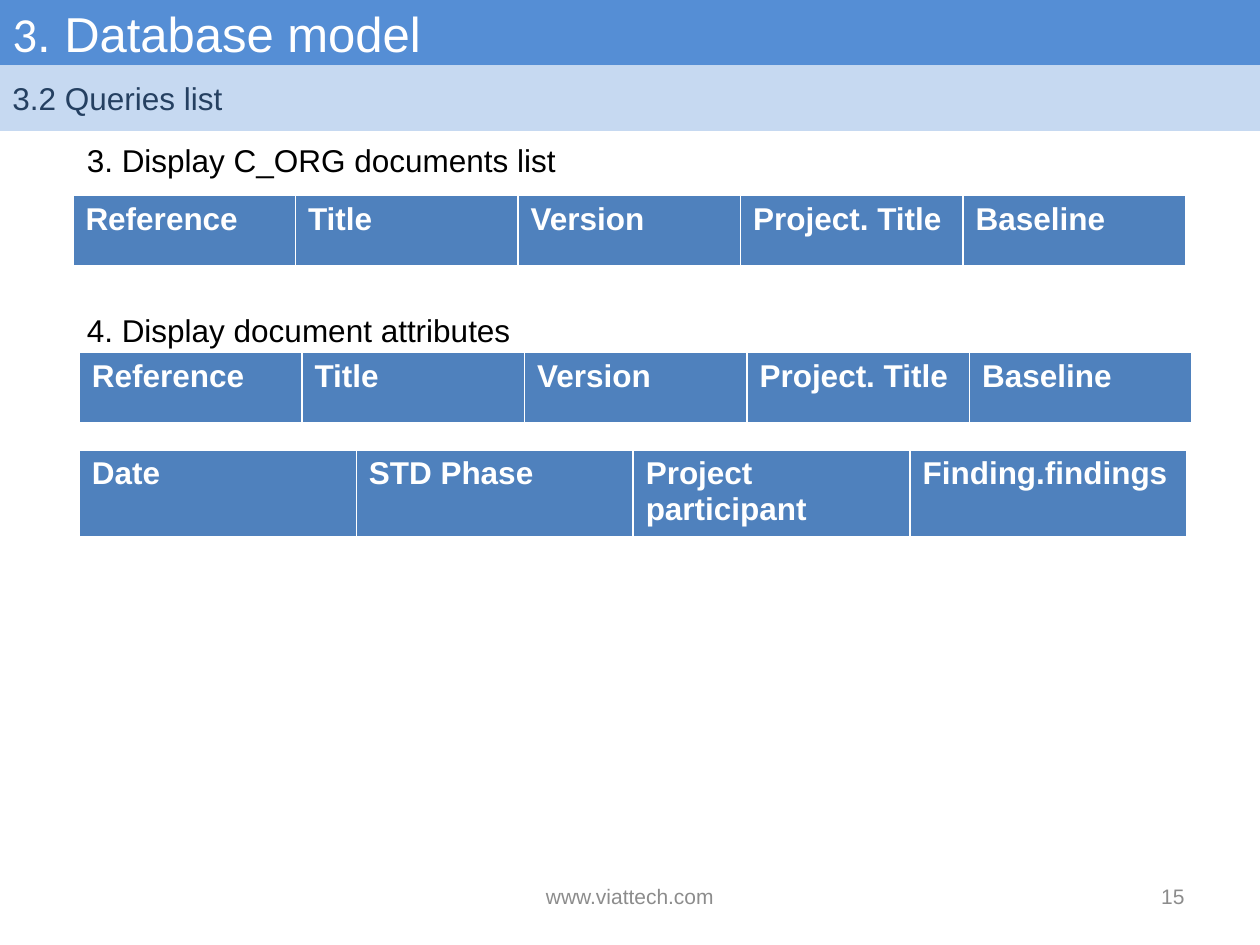
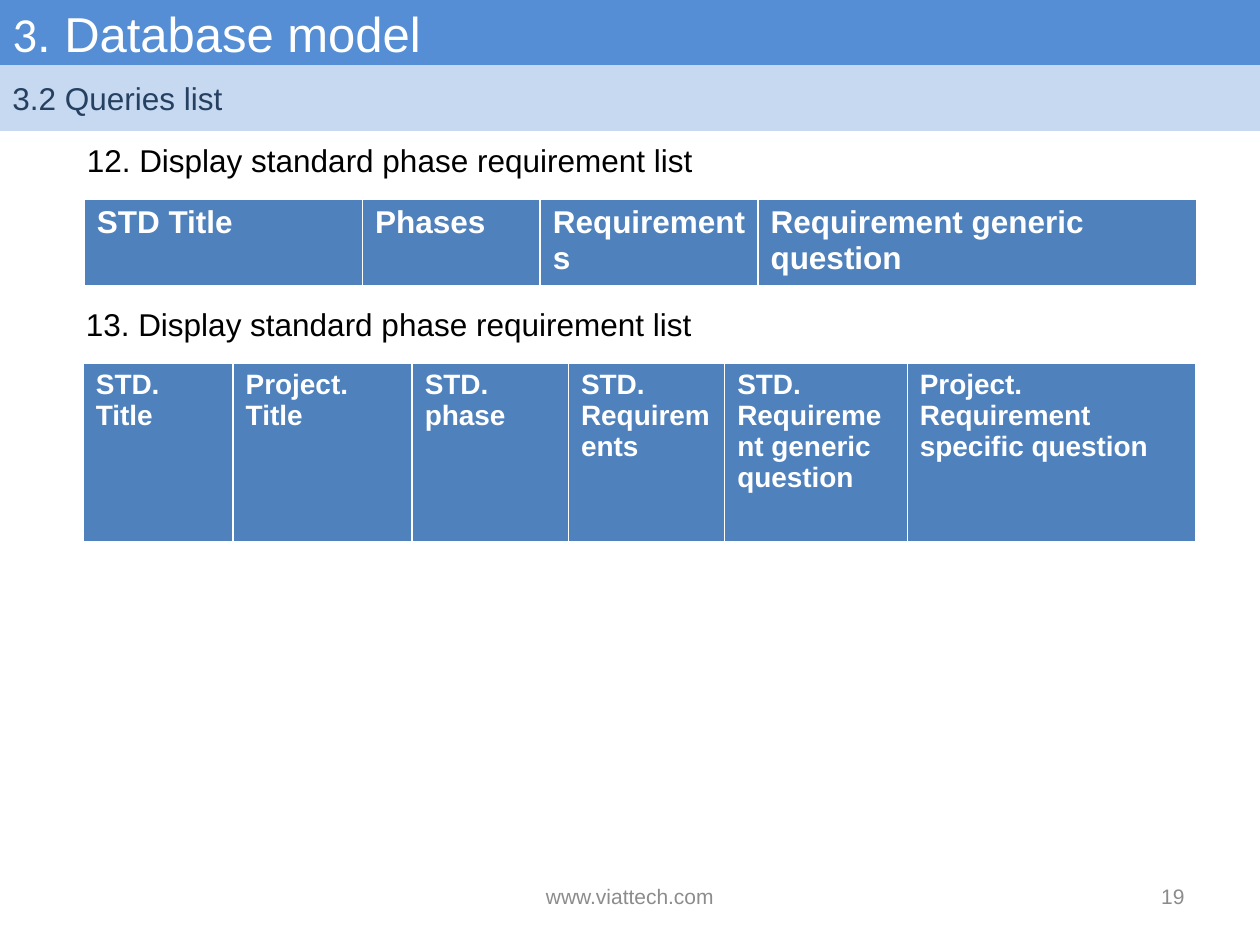
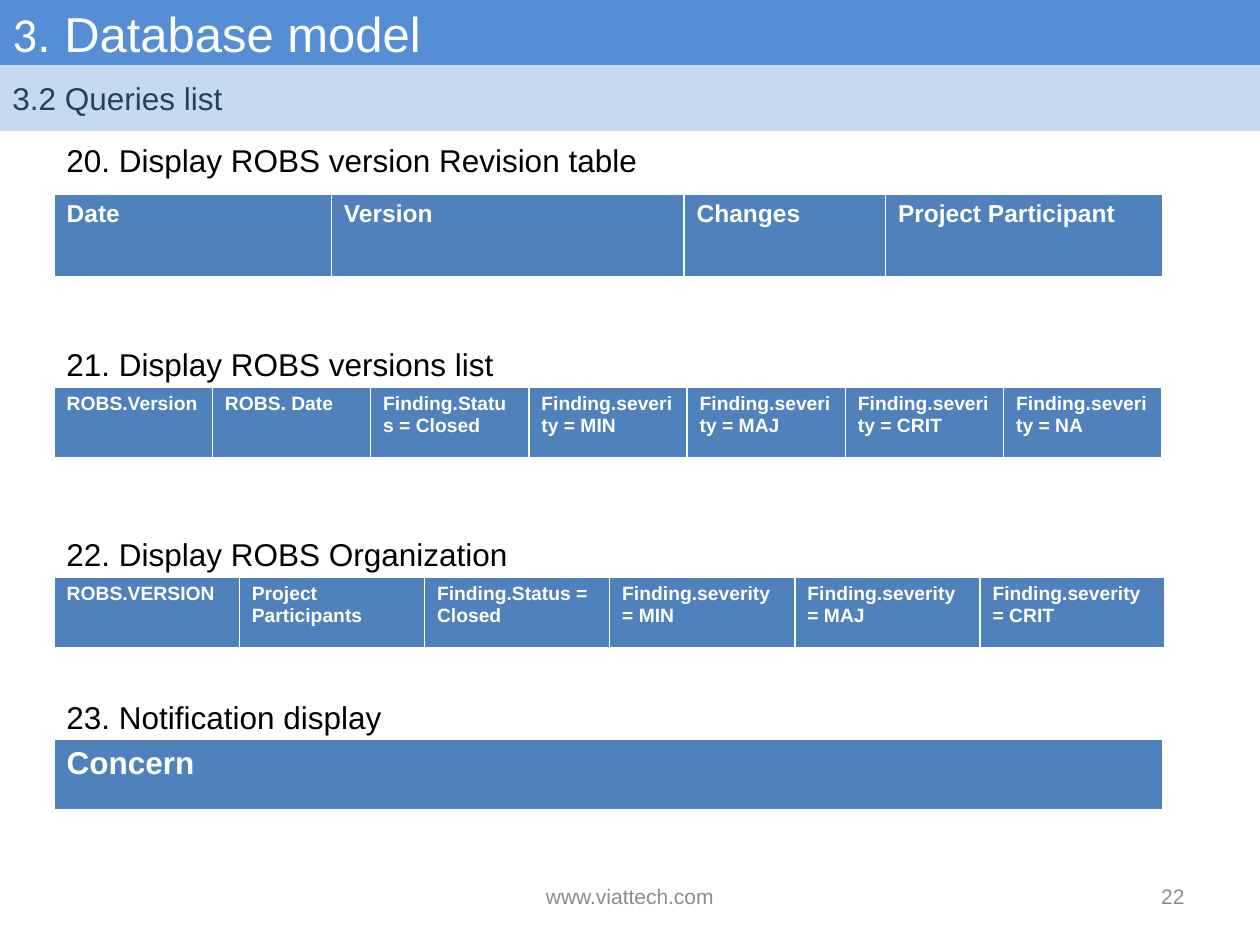
"""Builds three slides of the database model deck: headers of the query tables."""
from lxml import etree
from pptx import Presentation, util as u
from pptx.dml.color import RGBColor
from pptx.enum import shapes, text
from pptx.oxml import ns

COLORS = {"title_band": "558ED5", "subtitle_band": "C6D9F1", "subtitle": "254061",
          "header": "4F81BD", "white": "FFFFFF", "heading": "000000", "footer": "8C8C8C"}
FONT = "Arial"
SLIDE_W, SLIDE_H = 25.4, 19.05
BAND_H = 1.32
LINE_H = 1.02
ROW_H = 1.45
BORDERS = (("a:lnL", 1), ("a:lnR", 1), ("a:lnT", 1), ("a:lnB", 3))

TITLE = (("3", "Calibri"), (". Database model", FONT))
SUBTITLE = "3.2 Queries list"
SITE = "www.viattech.com"

DOCUMENT = ["Reference", "Title", "Version", "Project. Title", "Baseline"]
SEVERITIES = [f"Finding.severity = {level}" for level in ("MIN", "MAJ", "CRIT", "NA")]
CLOSED = "Finding.Status = Closed"

PAGES = [
    {"number": 15,
     "headings": [("3. Display C_ORG documents list", 1.5, 2.72, 10.06),
                  ("4. Display document attributes", 1.5, 6.15, 9.14)],
     "tables": [
         {"at": (1.47, 3.94), "fields": DOCUMENT, "width": 22.43},
         {"at": (1.6, 7.11), "fields": DOCUMENT, "width": 22.43},
         {"at": (1.6, 9.07), "width": 22.33,
          "fields": ["Date", "STD Phase", "Project participant", "Finding.findings"]}]},
    {"number": 19,
     "headings": [("12. Display standard phase requirement list", 1.5, 2.72, 12.8),
                  ("13. Display standard phase requirement list", 1.48, 6.02, 12.8)],
     "tables": [
         {"at": (1.7, 4.01), "columns": (5.61, 3.58, 4.39, 8.84),
          "fields": ["STD Title", "Phases", "Requirements", "Requirement generic question"]},
         {"at": (1.68, 7.32), "columns": (3.02, 3.61, 3.15, 3.15, 3.68, 5.82),
          "height": 3.63, "size": 16,
          "fields": ["STD. Title", "Project. Title", "STD. phase", "STD. Requirements",
                     "STD. Requirement generic question",
                     "Project. Requirement specific question"]}]},
    {"number": 22,
     "headings": [("20. Display ROBS version Revision table", 1.09, 2.72, 12.12),
                  ("21. Display ROBS versions list", 1.09, 6.83, 9.19),
                  ("22. Display ROBS Organization", 1.09, 10.67, 9.5),
                  ("23. Notification display", 1.09, 13.94, 6.93)],
     "tables": [
         {"at": (1.09, 3.91), "columns": (5.59, 7.11, 4.06, 5.59), "height": 1.7, "size": 14,
          "fields": ["Date", "Version", "Changes", "Project Participant"]},
         {"at": (1.09, 7.8), "width": 22.33, "size": 11,
          "fields": ["ROBS.Version", "ROBS. Date", CLOSED, *SEVERITIES]},
         {"at": (1.09, 11.63), "width": 22.4, "size": 11,
          "fields": ["ROBS.VERSION", "Project Participants", CLOSED, *SEVERITIES[:3]]},
         {"at": (1.09, 14.91), "width": 22.35, "fields": ["Concern"]}]},
]


def rgb(name):
    return RGBColor.from_string(COLORS[name])


def style(font, size, color, bold=False):
    font.name, font.size, font.bold = FONT, u.Pt(size), bold
    font.color.rgb = rgb(color)


def add_band(slide, top, color):
    band = slide.shapes.add_shape(shapes.MSO_SHAPE.RECTANGLE, 0, u.Cm(top),
                                  u.Cm(SLIDE_W), u.Cm(BAND_H))
    band.shadow.inherit = False
    band.fill.solid()
    band.fill.fore_color.rgb = rgb(color)
    band.line.fill.background()
    band.text_frame.vertical_anchor = text.MSO_ANCHOR.MIDDLE
    line = band.text_frame.paragraphs[0]
    line.alignment = text.PP_ALIGN.LEFT
    return line


def add_label(slide, words, left, top, width, size, color, align=None):
    frame = slide.shapes.add_textbox(*map(u.Cm, (left, top, width, LINE_H))).text_frame
    line = frame.paragraphs[0]
    line.text = words
    line.alignment = align
    style(line.font, size, color)
    return frame


def add_heading(slide, words, left, top, width):
    frame = add_label(slide, words, left, top, width, 18, "heading")
    frame.word_wrap = False
    frame.auto_size = text.MSO_AUTO_SIZE.SHAPE_TO_FIT_TEXT


def add_footer(slide, words, left, width, align):
    frame = add_label(slide, words, left, 17.55, width, 12, "footer", align)
    frame.word_wrap = True
    frame.vertical_anchor = text.MSO_ANCHOR.MIDDLE


def add_borders(cell):
    properties = cell._tc.get_or_add_tcPr()
    for position, (side, points) in enumerate(BORDERS):
        edge = etree.Element(ns.qn(side), w=str(u.Pt(points)))
        fill = etree.SubElement(edge, ns.qn("a:solidFill"))
        etree.SubElement(fill, ns.qn("a:srgbClr"), val=COLORS["white"])
        properties.insert(position, edge)


def add_header_table(slide, at, fields, width=None, columns=None, height=ROW_H, size=18):
    columns = columns or [width / len(fields)] * len(fields)
    table = slide.shapes.add_table(1, len(fields), *map(u.Cm, (*at, sum(columns), height))).table
    for column, column_width, cell, field in zip(table.columns, columns,
                                                 table.rows[0].cells, fields):
        column.width = u.Cm(column_width)
        cell.text = field
        style(cell.text_frame.paragraphs[0].font, size, "white", bold=True)
        cell.fill.solid()
        cell.fill.fore_color.rgb = rgb("header")
        add_borders(cell)


def add_page(deck, number, headings, tables):
    slide = deck.slides.add_slide(deck.slide_layouts[6])
    title = add_band(slide, 0, "title_band")
    style(title.font, 28, "white")
    for words, typeface in TITLE:
        run = title.add_run()
        run.text = words
        run.font.name = typeface
    subtitle = add_band(slide, BAND_H, "subtitle_band")
    subtitle.text = SUBTITLE
    style(subtitle.font, 18, "subtitle")
    add_footer(slide, SITE, 8.68, 8.04, text.PP_ALIGN.CENTER)
    add_footer(slide, str(number), 18.2, 5.93, text.PP_ALIGN.RIGHT)
    for heading in headings:
        add_heading(slide, *heading)
    for table in tables:
        add_header_table(slide, **table)


def main():
    deck = Presentation()
    deck.slide_width, deck.slide_height = u.Cm(SLIDE_W), u.Cm(SLIDE_H)
    for page in PAGES:
        add_page(deck, **page)
    deck.save("out.pptx")


if __name__ == "__main__":
    main()
